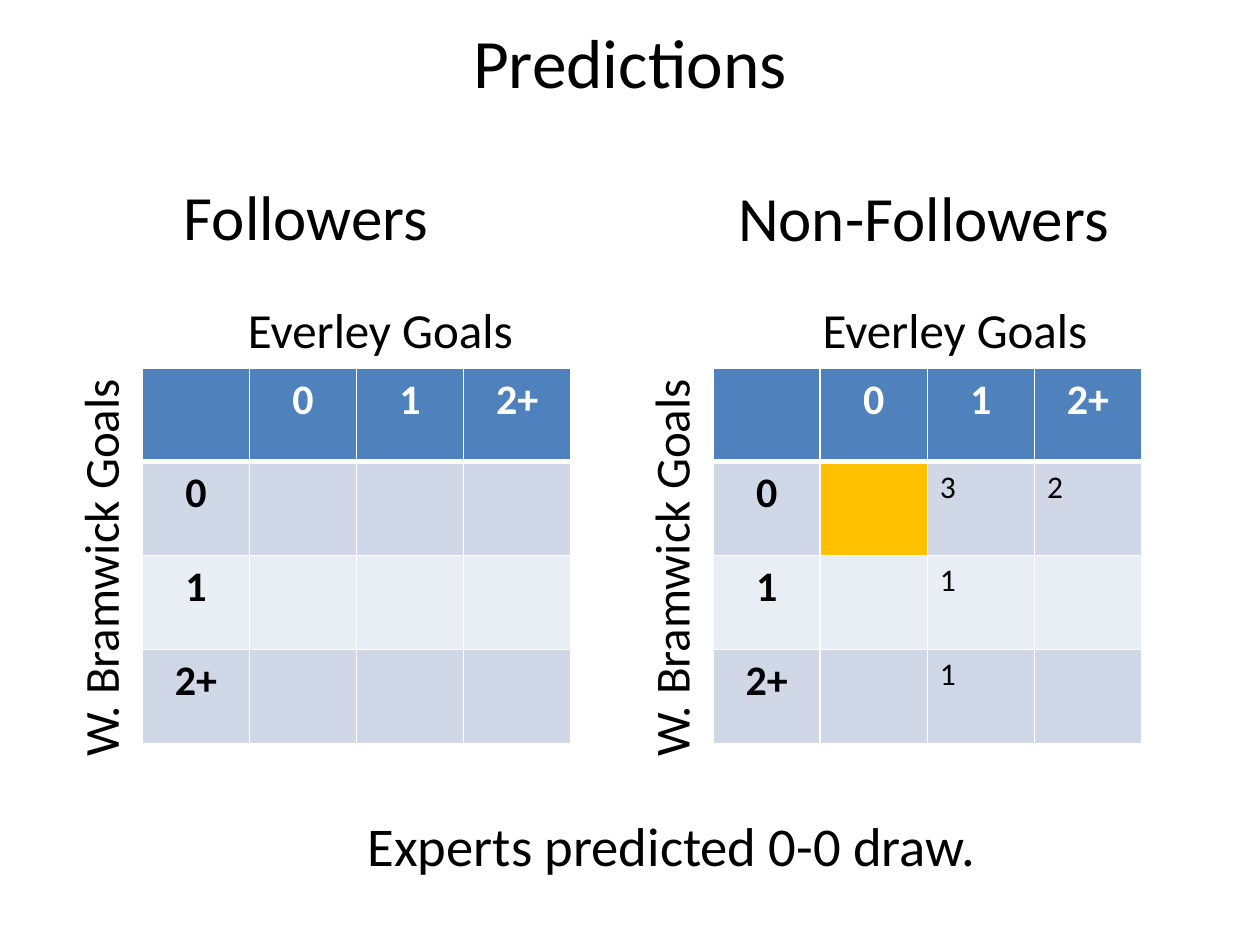
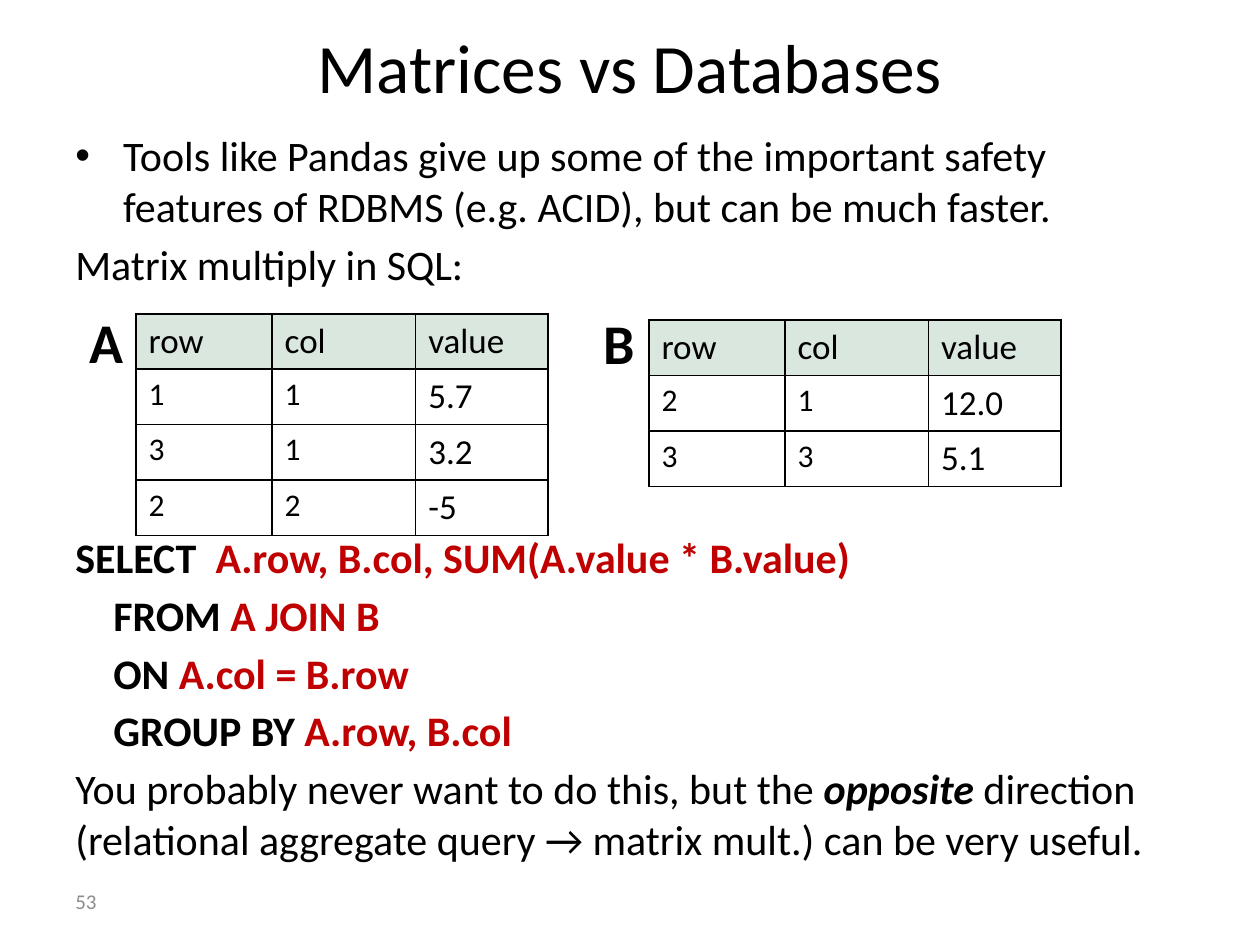
from lxml import etree
from pptx import Presentation
from pptx.dml.color import RGBColor
from pptx.enum.text import MSO_ANCHOR, MSO_AUTO_SIZE, PP_ALIGN
from pptx.oxml.ns import qn
from pptx.util import Inches, Pt

# Shared look
FONT = "Calibri"
BLACK, WHITE, RED, GREY = "000000", "FFFFFF", "C00000", "8C8C8C"
BLUE, BAND_DARK, BAND_LIGHT, GOLD = "4F81BD", "D0D8E8", "E9EDF4", "FFC000"
MINT = "D9E7DF"
TITLE = {"size": 39.6}
BOLD = {"bold": True}
CODE = {"bold": True, "color": RED}

# Predictions slide
PREDICTION_TITLE = ("Predictions", (0.5, 0.12, 9, 0.72))
GOALS = ["0", "1", "2+"]
COLUMN_LABEL, ROW_LABEL = "Everley Goals", "W. Bramwick Goals"
PANELS = [
    {"heading": "Followers", "heading_at": (1.36, 1.36, 2.75, 0.71),
     "label_left": 1.87, "left": 1.13, "counts": {}, "expert_cell": None},
    {"heading": "Non-Followers", "heading_at": (5.76, 1.37, 3.29, 0.71),
     "label_left": 6.43, "left": 5.66, "expert_cell": (1, 1),
     "counts": {(1, 2): "3", (1, 3): "2", (2, 2): "1", (3, 2): "1"}},
]
GRID_TOP, GRID_COLUMN, GRID_ROW = 2.92, 0.85, 0.745
EXPERT_NOTE = "Experts predicted 0-0 draw."

# Matrices slide
MATRIX_TITLE = ("Matrices vs Databases", (0.61, 0.17, 8.78, 0.71))
PAGE_NUMBER = "53"
LINE_GAP, TABLE_GAP = 4.3, 138.7
BODY = [  # space before in points, then spans of text and format
    (0, [("Tools like Pandas give up some of the important safety features "
          "of RDBMS (e.g. ACID), but can be much faster.", {})]),
    (LINE_GAP, [("Matrix multiply in SQL:", {})]),
    (TABLE_GAP, [("SELECT  ", BOLD),
                 ("A.row, B.col, SUM(A.value * B.value)", CODE)]),
    (LINE_GAP, [("    FROM ", BOLD), ("A JOIN B", CODE)]),
    (LINE_GAP, [("    ON ", BOLD), ("A.col = B.row", CODE)]),
    (LINE_GAP, [("    GROUP BY ", BOLD), ("A.row, B.col", CODE)]),
    (LINE_GAP, [("You probably never want to do this, but the ", {}),
                ("opposite ", {"bold": True, "italic": True}),
                ("direction (relational aggregate query → matrix mult.) "
                 "can be very useful.", {})]),
]
HEADERS = ["row", "col", "value"]
MATRIX_WIDTHS, MATRIX_ROW = [1.08, 1.14, 1.05], 0.44
MATRICES = [
    {"name": "A", "name_at": (0.61, 2.39, 0.47, 0.64), "at": (1.08, 2.49),
     "entries": [["1", "1", "5.7"], ["3", "1", "3.2"], ["2", "2", "-5"]]},
    {"name": "B", "name_at": (4.69, 2.4, 0.45, 0.64), "at": (5.15, 2.54),
     "entries": [["2", "1", "12.0"], ["3", "3", "5.1"]]},
]


def colour(value):
    return RGBColor.from_string(value)


def add_span(para, text, style):
    span = para.add_run()
    span.text = text
    look = {"name": FONT, "size": 24, "color": BLACK, **style}
    span.font.color.rgb = colour(look.pop("color"))
    look["size"] = Pt(look["size"])
    for key, value in look.items():
        setattr(span.font, key, value)


def add_box(page, at, wrap=True, anchor=MSO_ANCHOR.TOP):
    box = page.shapes.add_textbox(*map(Inches, at))
    auto_size = MSO_AUTO_SIZE.NONE if wrap else MSO_AUTO_SIZE.SHAPE_TO_FIT_TEXT
    frame = {"word_wrap": wrap, "auto_size": auto_size, "vertical_anchor": anchor}
    for key, value in frame.items():
        setattr(box.text_frame, key, value)
    return box


def add_text(page, text, at, style, align=PP_ALIGN.LEFT, **frame):
    box = add_box(page, at, **frame)
    para = box.text_frame.paragraphs[0]
    para.alignment = align
    add_span(para, text, style)
    return box


def add_centred(page, text, at, style):
    add_text(page, text, at, style, PP_ALIGN.CENTER, anchor=MSO_ANCHOR.MIDDLE)


def add_page(deck, title, at):
    page = deck.slides.add_slide(deck.slide_layouts[6])
    add_centred(page, title, at, TITLE)
    return page


def add_table(page, left, top, widths, row_height, row_count):
    table = page.shapes.add_table(
        row_count, len(widths), Inches(left), Inches(top),
        Inches(sum(widths)), Inches(row_height * row_count)).table
    table.first_row = table.horz_banding = False
    for column, width in zip(table.columns, widths):
        column.width = Inches(width)
    for row in table.rows:
        row.height = Inches(row_height)
    return table


def set_cell(cell, text, style, fill, line, align=PP_ALIGN.LEFT, thick=()):
    properties = cell._tc.get_or_add_tcPr()
    for side in "LRTB":
        width = Pt(3 if side in thick else 1)
        edge = etree.SubElement(properties, qn(f"a:ln{side}"), w=str(width))
        solid = etree.SubElement(edge, qn("a:solidFill"))
        etree.SubElement(solid, qn("a:srgbClr"), val=line)
    if fill:
        cell.fill.solid()
        cell.fill.fore_color.rgb = colour(fill)
    else:
        cell.fill.background()
    if text:
        para = cell.text_frame.paragraphs[0]
        para.alignment = align
        add_span(para, text, style)


def add_panel(page, panel):
    add_text(page, panel["heading"], panel["heading_at"], {"size": 36}, wrap=False)
    add_text(page, COLUMN_LABEL, (panel["label_left"], 2.33, 2.4, 0.57),
             {"size": 28}, wrap=False)
    side_label = add_text(page, ROW_LABEL, (panel["left"] - 1.98, 4.18, 3.28, 0.57),
                          {"size": 28}, wrap=False)
    side_label.rotation = 270

    labels = [""] + GOALS
    size = len(labels)
    table = add_table(page, panel["left"], GRID_TOP, [GRID_COLUMN] * size,
                      GRID_ROW, size)
    for row in range(size):
        for column in range(size):
            fill = BLUE if row == 0 else BAND_DARK if row % 2 else BAND_LIGHT
            if (row, column) == panel["expert_cell"]:
                fill = GOLD
            # The heavy rule lies between header and body
            thick = {0: "B", 1: "T"}.get(row, "")
            if row == 0 or column == 0:
                text, align = labels[row + column], PP_ALIGN.CENTER
                style = {"bold": True, "color": BLACK if row else WHITE}
            else:
                text, align = panel["counts"].get((row, column), ""), PP_ALIGN.LEFT
                style = {"size": 18}
            set_cell(table.cell(row, column), text, style, fill, WHITE, align, thick)


def add_matrix(page, matrix):
    rows = [HEADERS] + matrix["entries"]
    table = add_table(page, *matrix["at"], MATRIX_WIDTHS, MATRIX_ROW, len(rows))
    for row, texts in enumerate(rows):
        for column, text in enumerate(texts):
            size = 18 if row and column < 2 else 20
            set_cell(table.cell(row, column), text, {"size": size},
                     None if row else MINT, BLACK)
    add_text(page, matrix["name"], matrix["name_at"],
             {"size": 32, "bold": True}, wrap=False)


def add_body(page):
    frame = add_box(page, (0.5, 0.98, 9, 6.22)).text_frame
    for index, (space, spans) in enumerate(BODY):
        para = frame.add_paragraph() if index else frame.paragraphs[0]
        if index:
            para.space_before = Pt(space)
        else:
            # Hanging bullet
            properties = para._p.get_or_add_pPr()
            properties.set("marL", str(Inches(0.38)))
            properties.set("indent", str(-Inches(0.38)))
            etree.SubElement(properties, qn("a:buFont"), typeface="Arial")
            etree.SubElement(properties, qn("a:buChar"), char="•")
        for text, style in spans:
            add_span(para, text, style)


def main():
    deck = Presentation()
    deck.slide_width, deck.slide_height = Inches(10), Inches(7.5)

    # Predictions
    page = add_page(deck, *PREDICTION_TITLE)
    for panel in PANELS:
        add_panel(page, panel)
    add_centred(page, EXPERT_NOTE, (0.83, 6.34, 9, 0.72), {"size": 31.2})

    # Matrices and databases
    page = add_page(deck, *MATRIX_TITLE)
    add_text(page, PAGE_NUMBER, (0.5, 6.95, 2.33, 0.4),
             {"size": 12, "color": GREY}, anchor=MSO_ANCHOR.MIDDLE)
    add_body(page)
    for matrix in MATRICES:
        add_matrix(page, matrix)

    deck.save("out.pptx")


if __name__ == "__main__":
    main()
